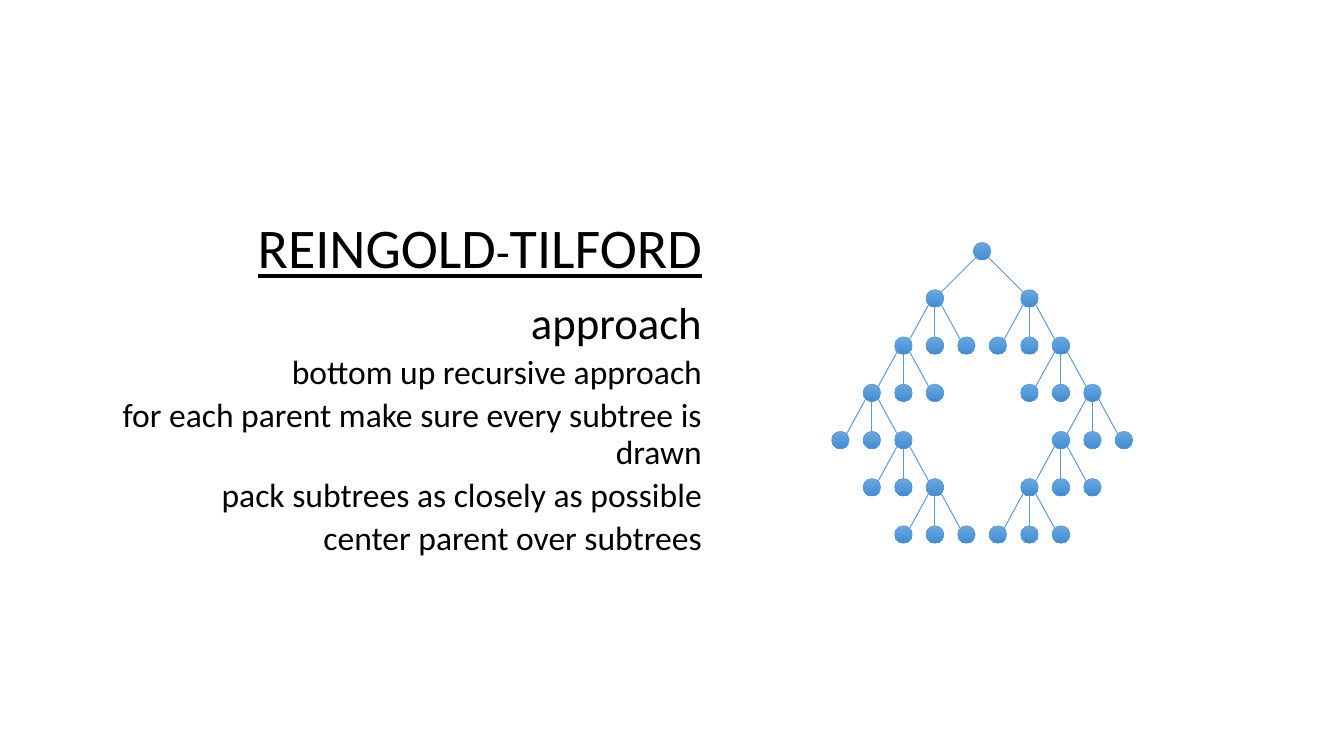
from copy import deepcopy
from itertools import product
from math import hypot

from lxml.etree import SubElement
from pptx import Presentation
from pptx.dml.color import RGBColor as RGB
from pptx.enum.shapes import MSO_CONNECTOR as LINK, MSO_SHAPE as SHAPE
from pptx.enum.text import MSO_ANCHOR as ANCHOR, PP_ALIGN as ALIGN
from pptx.oxml.ns import qn
from pptx.util import Pt

COLORS = {
    "text": "000000",
    "edge": "5B9BD5",
    "light": "71A6DB",
    "mid": "559BDB",
    "dark": "448ACA",
}
FONT = "Calibri"

# Tree grid: column gap, row gap, node radius, root centre
COL, ROW, RAD = 32, 48, 9
ROOT = (997.6, 255.2)
# Columns between the axis and the parent node of each row below the root
SPINE = (1.5, 2.5, 3.5, 2.5, 1.5)

HEAD = {
    "font": {"size": Pt(56.9), "underline": True},
    "para": {"space_after": Pt(8.5)},
}
TOPIC = {
    "font": {"size": Pt(45.5)},
    "para": {"space_before": Pt(7.1), "level": 1},
}
POINT = {
    "font": {"size": Pt(34.1)},
    "para": {"space_before": Pt(7.1), "level": 2, "line_spacing": 0.9},
}
LINES = (
    ("REINGOLD-TILFORD", HEAD),
    ("approach", TOPIC),
    ("bottom up recursive approach", POINT),
    ("for each parent make sure every subtree is drawn", POINT),
    ("pack subtrees as closely as possible", POINT),
    ("center parent over subtrees", POINT),
)


def color(name):
    return RGB.from_string(COLORS[name])


def apply(item, style):
    for key, value in style.items():
        setattr(item, key, value)


def add_text(slide):
    box = slide.shapes.add_textbox(Pt(0), Pt(93), Pt(720), Pt(582.5))
    frame = box.text_frame
    apply(frame, {
        "word_wrap": True,
        "vertical_anchor": ANCHOR.MIDDLE,
        "margin_top": Pt(17.8),
    })
    for i, (text, style) in enumerate(LINES):
        para = frame.add_paragraph() if i else frame.paragraphs[0]
        apply(para, {"alignment": ALIGN.RIGHT, **style["para"]})
        props = para._p.get_or_add_pPr()
        props.set("marL", str(Pt(36.7)))
        props.set("indent", "0")
        run = para.add_run()
        run.text = text
        apply(run.font, {"name": FONT, **style["font"]})
        run.font.color.rgb = color("text")
        if style is HEAD:
            run._r.get_or_add_rPr().set("cap", "small")


def place(col, row):
    """Return the centre of a grid cell, counted from the root."""
    return ROOT[0] + col * COL, ROOT[1] + row * ROW


def add_node(tree, spot):
    x, y = spot
    node = tree.shapes.add_shape(
        SHAPE.OVAL, Pt(x - RAD), Pt(y - RAD), Pt(2 * RAD), Pt(2 * RAD))
    node.shadow.inherit = False
    node.line.color.rgb = color("edge")
    node.line.width = Pt(0.5)
    fill = node.fill
    fill.gradient()
    fill.gradient_angle = 270
    stops = node._element.spPr.find(".//" + qn("a:gsLst"))
    stops.append(deepcopy(stops[-1]))
    for stop, pos, name in zip(
            fill.gradient_stops, (0, 0.5, 1), ("light", "mid", "dark")):
        stop.position = pos
        stop.color.rgb = color(name)


def add_edge(tree, top, end):
    """Join two nodes at their rims: straight below, or on the diagonals."""
    side = (end[0] > top[0]) - (end[0] < top[0])
    size = RAD / hypot(side, 1)
    dx = side * size
    edge = tree.shapes.add_connector(
        LINK.STRAIGHT, Pt(top[0] + dx), Pt(top[1] + size),
        Pt(end[0] - dx), Pt(end[1] - size))
    edge.line.color.rgb = color("edge")
    edge.line.width = Pt(1)
    SubElement(edge._element.spPr, qn("a:effectLst"))


def add_tree(slide):
    tree = slide.shapes.add_group_shape()
    root = place(0, 0)
    add_node(tree, root)
    for side in (-1, 1):
        child = place(side * SPINE[0], 1)
        add_node(tree, child)
        add_edge(tree, root, child)
    for (row, col), side, step in product(
            enumerate(SPINE, 1), (-1, 1), (-1, 0, 1)):
        child = place(side * col + step, row + 1)
        add_node(tree, child)
        add_edge(tree, place(side * col, row), child)


def main():
    deck = Presentation()
    deck.slide_width, deck.slide_height = Pt(1365.12), Pt(768.24)
    slide = deck.slides.add_slide(deck.slide_layouts[6])
    add_text(slide)
    add_tree(slide)
    deck.save("out.pptx")


if __name__ == "__main__":
    main()
